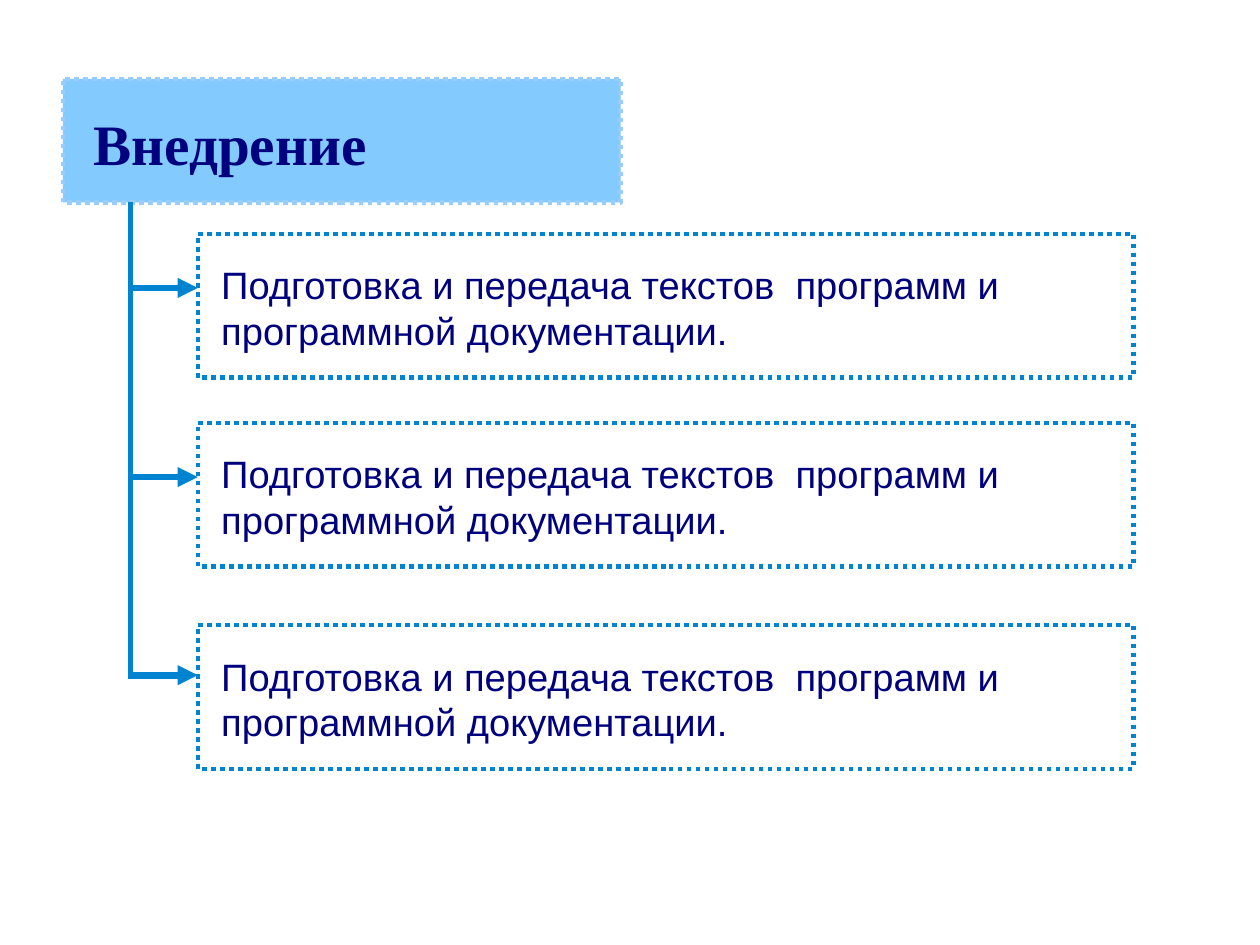
from dataclasses import dataclass

from lxml import etree
from pptx import Presentation
from pptx.dml.color import RGBColor
from pptx.enum.dml import MSO_LINE
from pptx.enum.shapes import MSO_CONNECTOR, MSO_SHAPE
from pptx.enum.text import MSO_ANCHOR, MSO_AUTO_SIZE, PP_ALIGN
from pptx.oxml.ns import qn
from pptx.util import Pt

RECT = MSO_SHAPE.RECTANGLE
STRAIGHT = MSO_CONNECTOR.STRAIGHT
DOTTED = MSO_LINE.ROUND_DOT
MIDDLE = MSO_ANCHOR.MIDDLE
NO_FIT = MSO_AUTO_SIZE.NONE
LEFT = PP_ALIGN.LEFT
TITLE_ONLY = 5


@dataclass(frozen=True)
class Theme:
    ink: RGBColor = RGBColor(0x00, 0x00, 0x7F)
    accent: RGBColor = RGBColor(0x00, 0x84, 0xD1)
    title_fill: RGBColor = RGBColor(0x83, 0xCA, 0xFF)
    title_edge: RGBColor = RGBColor(0x99, 0xCC, 0xFF)
    paper: RGBColor = RGBColor(0xFF, 0xFF, 0xFF)
    title_font: str = "Times New Roman"
    body_font: str = "Arial"
    title_size: float = 36
    body_size: float = 24
    edge: float = 2.83
    arrow: float = 4.25


@dataclass(frozen=True)
class Step:
    top: float
    arrow_y: float
    lines: tuple[str, ...]


THEME = Theme()
TRUNK_X = 82.2
TITLE_BOX = (39.6, 49.7, 351.4, 77.8)
STEP_LEFT, STEP_WIDTH, STEP_HEIGHT = 124.6, 589.5, 90.5
DELIVERY = ("Подготовка и передача текстов  программ и",
            "программной документации.")
STEPS = (
    Step(147.4, 181.4, DELIVERY),
    Step(266.4, 300.5, DELIVERY),
    Step(393.8, 425.3, DELIVERY),
)


def style_box(sp, fill: RGBColor, edge: RGBColor, indent: float) -> None:
    """Give a box its fill, dotted outline and text margins."""
    sp.fill.solid()
    sp.fill.fore_color.rgb = fill
    sp.line.color.rgb = edge
    sp.line.width = Pt(THEME.edge)
    sp.line.dash_style = DOTTED
    tf = sp.text_frame
    tf.word_wrap = True
    tf.auto_size = NO_FIT
    tf.vertical_anchor = MIDDLE
    tf.margin_left, tf.margin_right = Pt(indent), Pt(1.4)
    tf.margin_top, tf.margin_bottom = Pt(3.6), Pt(1.4)


def write(sp, lines: tuple[str, ...], font: str, size: float, bold: bool) -> None:
    """Fill a box with one paragraph for each line."""
    tf = sp.text_frame
    for i, line in enumerate(lines):
        p = tf.add_paragraph() if i else tf.paragraphs[0]
        p.text = line
        p.alignment = LEFT
        p.line_spacing = 1.0
        p.font.name = font
        p.font.size = Pt(size)
        p.font.bold = bold
        p.font.color.rgb = THEME.ink


def add_line(slide, x1: float, y1: float, x2: float, y2: float,
             width: float, arrow: bool = False) -> None:
    """Draw a straight line, with an arrowhead at its end if asked."""
    c = slide.shapes.add_connector(STRAIGHT, Pt(x1), Pt(y1), Pt(x2), Pt(y2))
    c.line.color.rgb = THEME.accent
    c.line.width = Pt(width)
    if arrow:
        etree.SubElement(c.line._get_or_add_ln(), qn("a:tailEnd"), type="triangle")
    etree.SubElement(c._element.spPr, qn("a:effectLst"))


def add_step(slide, step: Step) -> None:
    """Draw one dotted box and the arrow that leads to it."""
    sp = slide.shapes.add_shape(RECT, Pt(STEP_LEFT), Pt(step.top),
                                Pt(STEP_WIDTH), Pt(STEP_HEIGHT))
    sp.shadow.inherit = False
    style_box(sp, THEME.paper, THEME.accent, 14.8)
    write(sp, step.lines, THEME.body_font, THEME.body_size, False)
    add_line(slide, TRUNK_X, step.arrow_y, STEP_LEFT, step.arrow_y,
             THEME.arrow, arrow=True)


def main() -> None:
    prs = Presentation()
    prs.slide_width, prs.slide_height = Pt(793.75), Pt(595.25)
    slide = prs.slides.add_slide(prs.slide_layouts[TITLE_ONLY])

    # Heading
    title = slide.shapes.title
    title.left, title.top, title.width, title.height = map(Pt, TITLE_BOX)
    style_box(title, THEME.title_fill, THEME.title_edge, 19.4)
    write(title, ("Внедрение",), THEME.title_font, THEME.title_size, True)

    # Trunk from the heading down to the last arrow
    add_line(slide, TRUNK_X, TITLE_BOX[1] + TITLE_BOX[3],
             TRUNK_X, STEPS[-1].arrow_y + THEME.arrow / 2, THEME.edge)

    # Steps
    for step in STEPS:
        add_step(slide, step)

    prs.save("out.pptx")


if __name__ == "__main__":
    main()
